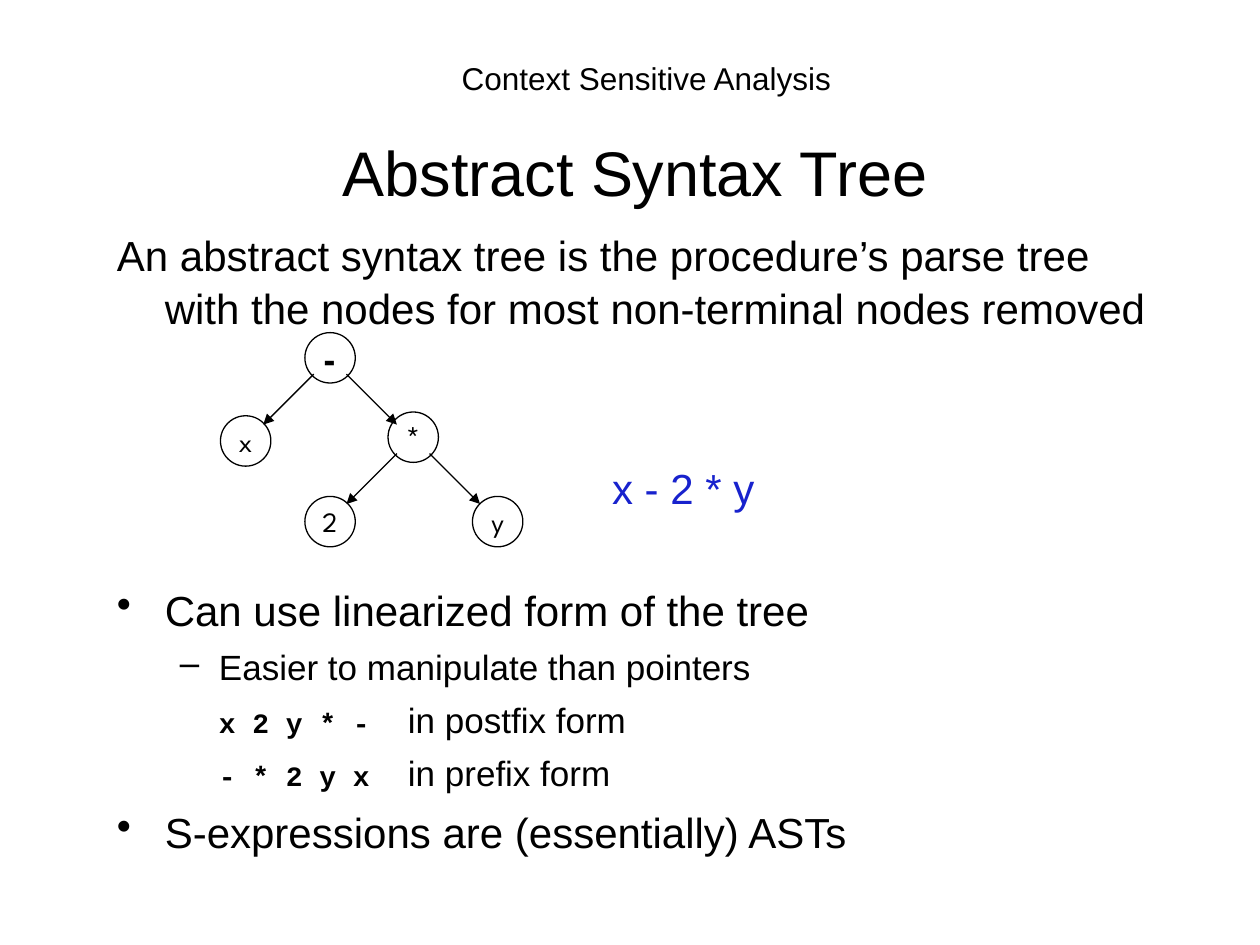
import pptx
import pptx.util
import pptx.dml.color
import pptx.enum.shapes
import pptx.enum.text
import pptx.oxml.ns
from lxml import etree

Inches = pptx.util.Inches
Pt = pptx.util.Pt
BLACK = pptx.dml.color.RGBColor(0x00, 0x00, 0x00)
BLUE = pptx.dml.color.RGBColor(0x18, 0x22, 0xCD)
CENTER = pptx.enum.text.PP_ALIGN.CENTER
MIDDLE = pptx.enum.text.MSO_ANCHOR.MIDDLE

HEADER = "Context Sensitive Analysis"
TITLE = "Abstract Syntax Tree"
INTRO = ("An abstract syntax tree is the procedure’s parse tree "
         "with the nodes for most non-terminal nodes removed")
EXPRESSION = "x - 2 * y"
POINTS = [
    ("•", "Can use linearized form of the tree"),
    ("–", "Easier to manipulate than pointers"),
    ("code", "x 2 y * -", "in postfix form"),
    ("code", "- * 2 y x", "in prefix form"),
    ("•", "S-expressions are (essentially) ASTs"),
]
LEVELS = {"•": (0.38, -0.38, 24, 6), "–": (0.81, -0.31, 20, 5), "code": (0.81, 0, 20, 5)}
NODES = {
    "-": (2.62, 2.84, 20, True),
    "x": (1.95, 3.5, 16, False),
    "*": (3.28, 3.47, 20, False),
    "2": (2.62, 4.14, 16, False),
    "y": (3.95, 4.14, 16, False),
}
EDGES = [("-", "x"), ("-", "*"), ("*", "2"), ("*", "y")]
DIAMETER = 0.4
EDGE_OFFSET = 0.13
EDGE_SPAN = 0.4
LINE_SPACING = 1.05


def style(font, size, color=BLACK, name="Arial", bold=False):
    font.size, font.name, font.bold = Pt(size), name, bold
    font.color.rgb = color


def add_text(slide, box, text, size, color=BLACK, align=None, anchor=None):
    shape = slide.shapes.add_textbox(*map(Inches, box))
    frame = shape.text_frame
    frame.word_wrap = True
    frame.text = text
    if anchor is not None:
        frame.vertical_anchor = anchor
    paragraph = frame.paragraphs[0]
    paragraph.alignment = align
    for run in paragraph.runs:
        style(run.font, size, color)
    return frame


def set_indent(paragraph, margin, indent):
    properties = paragraph._p.get_or_add_pPr()
    properties.set("marL", str(Inches(margin)))
    properties.set("indent", str(Inches(indent)))
    return properties


def add_points(slide, box):
    frame = add_text(slide, box, "", 24)
    for index, (kind, *texts) in enumerate(POINTS):
        paragraph = frame.add_paragraph() if index else frame.paragraphs[0]
        margin, indent, size, space = LEVELS[kind]
        properties = set_indent(paragraph, margin, indent)
        if kind == "code":
            tabs = etree.SubElement(properties, pptx.oxml.ns.qn("a:tabLst"))
            etree.SubElement(tabs, pptx.oxml.ns.qn("a:tab"), pos=str(Inches(2)), algn="l")
        else:
            etree.SubElement(properties, pptx.oxml.ns.qn("a:buChar"), char=kind)
        paragraph.text = "\t".join(texts)
        paragraph.line_spacing = LINE_SPACING
        if index:
            paragraph.space_before = Pt(space)
        if kind == "code":
            code, description = texts
            paragraph.runs[0].text = code
            paragraph.add_run().text = "\t" + description
            style(paragraph.runs[0].font, 16, name="Courier New", bold=True)
        style(paragraph.runs[-1].font, size)


def add_node(slide, label):
    x, y, size, bold = NODES[label]
    shape = slide.shapes.add_shape(
        pptx.enum.shapes.MSO_SHAPE.OVAL, Inches(x - DIAMETER / 2), Inches(y - DIAMETER / 2),
        Inches(DIAMETER), Inches(DIAMETER))
    shape.shadow.inherit = False
    shape.fill.background()
    shape.line.color.rgb = BLACK
    shape.line.width = Pt(0.75)
    frame = shape.text_frame
    frame.margin_left = frame.margin_right = frame.margin_top = frame.margin_bottom = 0
    frame.word_wrap = False
    frame.vertical_anchor = MIDDLE
    frame.text = label
    frame.paragraphs[0].alignment = CENTER
    style(frame.paragraphs[0].runs[0].font, size, name="League Spartan", bold=bold)


def add_edge(slide, parent, child):
    x, y = NODES[parent][:2]
    side = 1 if NODES[child][0] > x else -1
    start_x, start_y = x + side * EDGE_OFFSET, y + EDGE_OFFSET
    connector = slide.shapes.add_connector(
        pptx.enum.shapes.MSO_CONNECTOR.STRAIGHT, Inches(start_x), Inches(start_y),
        Inches(start_x + side * EDGE_SPAN), Inches(start_y + EDGE_SPAN))
    connector.line.color.rgb = BLACK
    connector.line.width = Pt(0.75)
    etree.SubElement(connector.line._get_or_add_ln(), pptx.oxml.ns.qn("a:tailEnd"), type="triangle")
    etree.SubElement(connector._element.spPr, pptx.oxml.ns.qn("a:effectLst"))


def main():
    presentation = pptx.Presentation()
    presentation.slide_width, presentation.slide_height = Inches(10), Inches(7.5)
    slide = presentation.slides.add_slide(presentation.slide_layouts[6])

    add_text(slide, (1.42, 0.42, 7.42, 0.4), HEADER, 18, align=CENTER)
    add_text(slide, (0.33, 0.92, 9.42, 0.88), TITLE, 36, align=CENTER, anchor=MIDDLE)
    intro = add_text(slide, (0.83, 1.75, 8.5, 0.9), INTRO, 24).paragraphs[0]
    set_indent(intro, 0.38, -0.38)
    intro.line_spacing = LINE_SPACING
    add_text(slide, (4.76, 3.62, 1.6, 0.5), EXPRESSION, 24, BLUE)
    add_points(slide, (0.83, 4.57, 8.5, 2.76))
    for label in NODES:
        add_node(slide, label)
    for parent, child in EDGES:
        add_edge(slide, parent, child)
    presentation.save("out.pptx")


if __name__ == "__main__":
    main()
